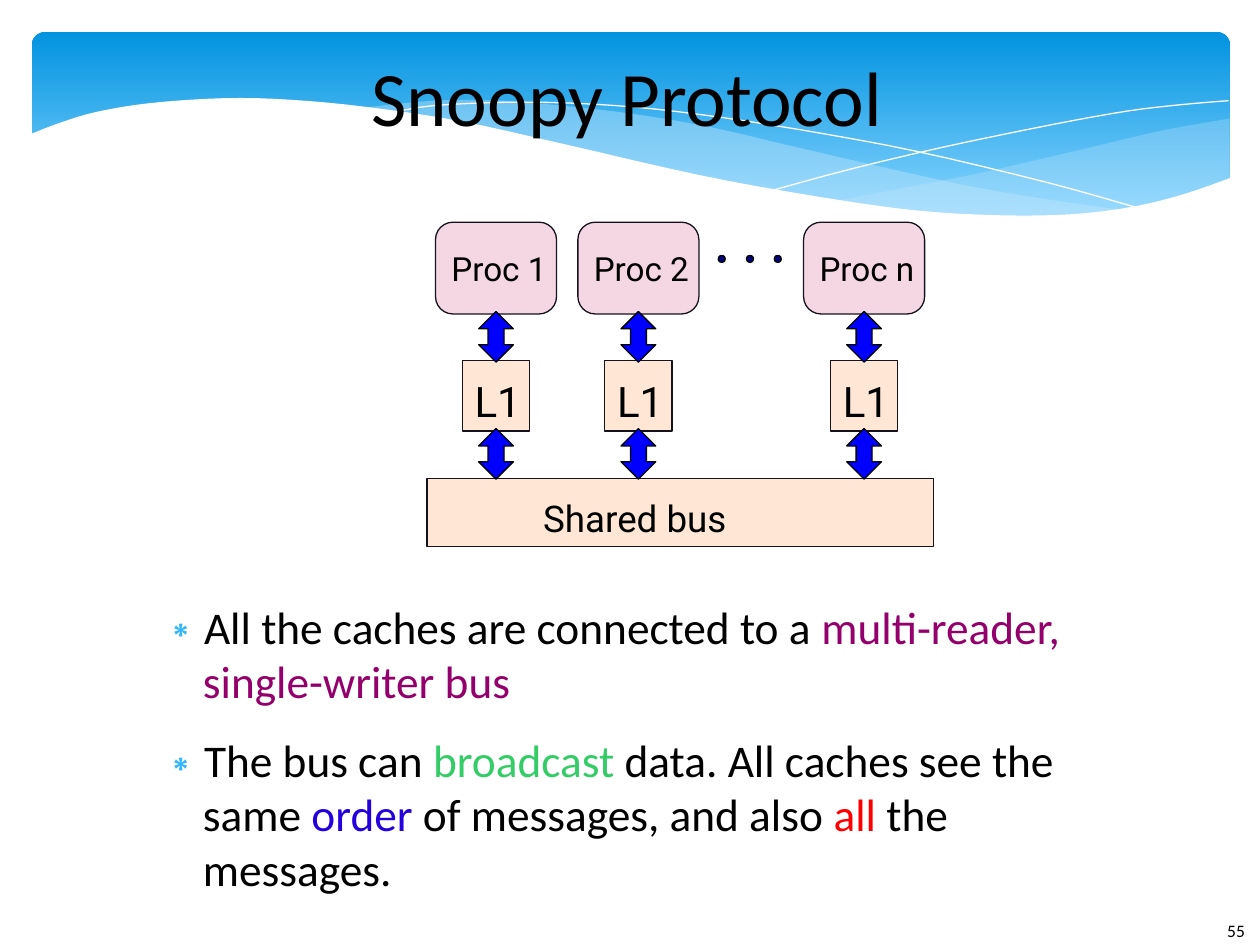
from lxml import etree
from pptx import Presentation
from pptx import util as u
from pptx.dml.color import RGBColor
from pptx.enum import dml, shapes, text
from pptx.oxml import ns

BLACK = RGBColor(0x00, 0x00, 0x00)
WHITE = RGBColor(0xFF, 0xFF, 0xFF)
BANNER_TOP = RGBColor(0x02, 0x93, 0xE0)
BANNER_BOTTOM = RGBColor(0x83, 0xD3, 0xFE)
WAVE = RGBColor(0xC6, 0xE7, 0xFC)
OUTLINE = RGBColor(0x15, 0x11, 0x1D)
PINK = RGBColor(0xF4, 0xD7, 0xE3)
PEACH = RGBColor(0xFF, 0xE6, 0xD5)
BLUE = RGBColor(0x00, 0x00, 0xFF)
NAVY = RGBColor(0x00, 0x00, 0x80)
PURPLE = RGBColor(0x94, 0x00, 0x6B)
GREEN = RGBColor(0x33, 0xCC, 0x66)
INDIGO = RGBColor(0x23, 0x00, 0xDC)
RED = RGBColor(0xFF, 0x00, 0x00)
BULLET = "31B6FD"

TITLE = "Snoopy Protocol"
BULLETS = [
    [("All the caches are connected to a ", BLACK),
     ("multi-reader, single-writer bus", PURPLE)],
    [("The bus can ", BLACK), ("broadcast", GREEN),
     (" data. All caches see the same ", BLACK), ("order", INDIGO),
     (" of messages, and also ", BLACK), ("all", RED),
     (" the messages.", BLACK)],
]
PROCESSORS = [("Proc 1", 10.0), ("Proc 2", 12.87), ("Proc n", 17.42)]
DOT_CENTERS = [14.55, 15.12, 15.68]

RIGHT_WAVE = [
    [(24.79, 2.39), (23.39, 2.64), (21.87, 3.0), (19.79, 3.48), (18.52, 3.73),
     (16.79, 4.06)],
    [(16.79, 4.06), (17.91, 4.19), (19.23, 4.32), (20.68, 4.37), (21.69, 4.32),
     (22.78, 4.19), (23.75, 3.96), (24.79, 3.58)],
]
MIDDLE_WAVE = [
    [(22.68, 4.24), (21.26, 4.04), (19.69, 3.78), (17.93, 3.4), (15.98, 2.95),
     (14.45, 2.59), (13.06, 2.34), (11.81, 2.18), (10.13, 2.03), (8.74, 2.03),
     (7.26, 2.18)],
    [(7.26, 2.18), (9.19, 2.46), (11.4, 2.95), (13.46, 3.43), (15.27, 3.81),
     (16.89, 4.09), (18.34, 4.27), (19.63, 4.37), (20.78, 4.39), (21.77, 4.34),
     (22.68, 4.24)],
]
FALLING_LINE = [
    [(7.85, 2.29), (8.74, 2.13), (10.57, 2.06), (12.42, 2.13), (14.12, 2.31),
     (16.15, 2.62), (18.47, 3.05), (21.11, 3.68), (23.04, 4.22)],
]
RISING_LINE = [
    [(15.57, 3.84), (17.07, 3.43), (19.0, 2.97), (21.23, 2.51), (22.73, 2.24),
     (23.83, 2.11), (24.77, 2.03)],
]
WHITE_WAVE = [
    [(24.82, 3.58), (23.88, 3.91), (22.83, 4.17), (21.59, 4.32), (20.14, 4.34),
     (18.44, 4.24), (16.46, 3.96), (14.1, 3.53), (11.35, 2.9), (9.27, 2.44),
     (7.42, 2.16), (5.84, 2.01), (4.5, 1.98), (3.02, 2.08), (1.93, 2.26),
     (1.17, 2.49), (0.58, 2.72)],
    [(0.58, 5.69), (24.82, 5.69)],
]
WAVES = [
    (RIGHT_WAVE, WAVE, 29, None),
    (MIDDLE_WAVE, WAVE, 40, None),
    (FALLING_LINE, None, 100, WHITE),
    (RISING_LINE, None, 100, WHITE),
    (WHITE_WAVE, WHITE, 100, None),
]


def smooth(knots, steps=4):
    if len(knots) < 3:
        return knots
    padded = [knots[0], *knots, knots[-1]]
    points = [knots[0]]
    for a, b, c, d in zip(padded, padded[1:], padded[2:], padded[3:]):
        for step in range(1, steps + 1):
            t = step / steps
            points.append(tuple(
                q + t * (r - p) / 2 + t**2 * (2 * p - 5 * q + 4 * r - s) / 2
                + t**3 * (3 * q - p - 3 * r + s) / 2
                for p, q, r, s in zip(a, b, c, d)))
    return points


def paint(shape, fill, line):
    shape.shadow.inherit = False
    if fill is None:
        shape.fill.background()
    else:
        shape.fill.solid()
        shape.fill.fore_color.rgb = fill
    if line is None:
        shape.line.fill.background()
    else:
        shape.line.color.rgb = line
        shape.line.width = u.Pt(0)


def add_wave(slide, curves, fill, opacity, line):
    points = [(u.Cm(x), u.Cm(y)) for curve in curves for x, y in smooth(curve)]
    builder = slide.shapes.build_freeform(*points[0])
    builder.add_line_segments(points[1:], close=fill is not None)
    shape = builder.convert_to_shape()
    paint(shape, fill, line)
    if opacity < 100:
        color = shape.fill._xPr.find(".//" + ns.qn("a:srgbClr"))
        etree.SubElement(color, ns.qn("a:alpha"), val=str(opacity * 1000))


def add_block(slide, kind, box, fill, line=OUTLINE):
    shape = slide.shapes.add_shape(kind, *map(u.Cm, box))
    paint(shape, fill, line)
    return shape


def format_run(run, size, font, color=BLACK):
    run.font.size = u.Pt(size)
    run.font.name = font
    run.font.color.rgb = color


def label(shape, words, size, left, top=0):
    frame = shape.text_frame
    frame.margin_left, frame.margin_top = u.Cm(left), u.Cm(top)
    frame.margin_right = frame.margin_bottom = 0
    frame.word_wrap = False
    frame.vertical_anchor = text.MSO_ANCHOR.MIDDLE
    frame.text = words
    frame.paragraphs[0].alignment = text.PP_ALIGN.LEFT
    format_run(frame.paragraphs[0].runs[0], size, "Roboto")


def add_banner(slide):
    banner = add_block(slide, shapes.MSO_SHAPE.ROUNDED_RECTANGLE,
                       (0.64, 0.64, 24.16, 3.96), BANNER_TOP, None)
    banner.adjustments[0] = 0.07
    banner.fill.gradient()
    banner.fill.gradient_angle = 270
    for stop, color, position in zip(banner.fill.gradient_stops,
                                     (BANNER_TOP, BANNER_BOTTOM), (0, 0.9)):
        stop.color.rgb = color
        stop.position = position
    for wave in WAVES:
        add_wave(slide, *wave)


def add_diagram(slide):
    kinds = shapes.MSO_SHAPE
    bus = add_block(slide, kinds.RECTANGLE, (8.61, 9.65, 10.21, 1.37), PEACH)
    label(bus, "Shared bus", 21, 2.34, 0.2)
    for name, center in PROCESSORS:
        processor = add_block(slide, kinds.ROUNDED_RECTANGLE,
                              (center - 1.22, 4.48, 2.44, 1.85), PINK)
        processor.adjustments[0] = 0.19
        label(processor, name, 19, 0.22)
        cache = add_block(slide, kinds.RECTANGLE,
                          (center - 0.68, 7.27, 1.36, 1.42), PEACH)
        label(cache, "L1", 24, 0.25, 0.2)
        for top in (6.28, 8.64):
            arrow = add_block(slide, kinds.UP_DOWN_ARROW,
                              (center - 0.35, top, 0.7, 1.02), BLUE, BLACK)
            arrow.adjustments[0], arrow.adjustments[1] = 0.48, 0.46
    for center in DOT_CENTERS:
        add_block(slide, kinds.OVAL, (center - 0.07, 5.15, 0.14, 0.14), NAVY, BLACK)


def place(slide, placeholder, box, anchor):
    slide.shapes._spTree.append(placeholder._element)
    (placeholder.left, placeholder.top,
     placeholder.width, placeholder.height) = map(u.Cm, box)
    frame = placeholder.text_frame
    frame.margin_left = frame.margin_right = 0
    frame.margin_top = frame.margin_bottom = 0
    frame.auto_size = text.MSO_AUTO_SIZE.NONE
    frame.word_wrap = True
    frame.vertical_anchor = anchor
    return frame


def set_bullet(paragraph):
    properties = paragraph._p.get_or_add_pPr()
    properties.set("marL", str(u.Cm(1.19)))
    properties.set("indent", str(u.Cm(-0.89)))
    color = etree.SubElement(properties, ns.qn("a:buClr"))
    etree.SubElement(color, ns.qn("a:srgbClr"), val=BULLET)
    etree.SubElement(properties, ns.qn("a:buChar"), char="∗")


def add_texts(slide):
    title, body = slide.placeholders
    frame = place(slide, title, (2.34, 0.64, 20.6, 2.59), text.MSO_ANCHOR.MIDDLE)
    frame.text = TITLE
    frame.paragraphs[0].alignment = text.PP_ALIGN.CENTER
    format_run(frame.paragraphs[0].runs[0], 44, "Calibri")

    frame = place(slide, body, (2.9, 12.07, 19.96, 5.08), text.MSO_ANCHOR.TOP)
    for index, parts in enumerate(BULLETS):
        paragraph = frame.add_paragraph() if index else frame.paragraphs[0]
        paragraph.space_before = u.Pt(0)
        paragraph.space_after = u.Pt(14.1)
        set_bullet(paragraph)
        for words, color in parts:
            run = paragraph.add_run()
            run.text = words
            format_run(run, 25.9, "Calibri", color)

    number = slide.shapes.add_textbox(*map(u.Cm, (24.49, 18.42, 1.55, 1.02)))
    number.text_frame.word_wrap = True
    number.text_frame.text = "55"
    format_run(number.text_frame.paragraphs[0].runs[0], 10, "Calibri")


def main():
    presentation = Presentation()
    presentation.slide_width, presentation.slide_height = u.Cm(25.4), u.Cm(19.05)
    slide = presentation.slides.add_slide(presentation.slide_layouts[1])
    add_banner(slide)
    add_diagram(slide)
    add_texts(slide)
    presentation.save("out.pptx")


if __name__ == "__main__":
    main()
